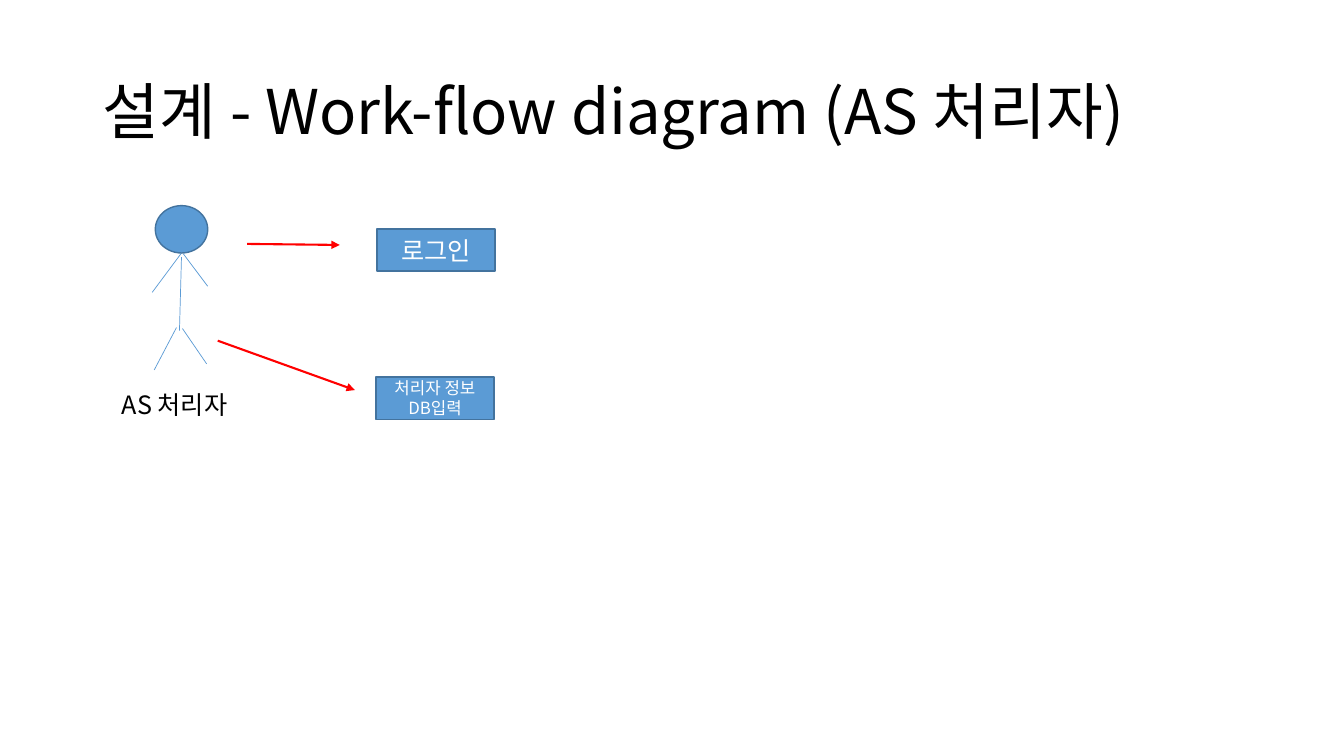
from lxml.etree import SubElement as Sub
from pptx import Presentation
from pptx.dml.color import RGBColor as Rgb
from pptx.enum.shapes import MSO_CONNECTOR as Conn, MSO_SHAPE as Form
from pptx.enum.text import MSO_ANCHOR as Anchor, MSO_AUTO_SIZE as Fit, PP_ALIGN as Align
from pptx.oxml.ns import qn
from pptx.util import Inches, Pt

FONT = "Noto Sans CJK KR"
HUES = {"ink": "000000", "white": "FFFFFF", "blue": "5B9BD5", "edge": "43739E", "red": "FF0000"}


def hue(name):
    return Rgb.from_string(HUES[name])


def write(frame, rows, size, color, align, anchor):
    frame.word_wrap = True
    frame.auto_size = Fit.NONE
    frame.vertical_anchor = anchor
    for i, row in enumerate(rows):
        para = frame.add_paragraph() if i else frame.paragraphs[0]
        para.alignment = align
        run = para.add_run()
        run.text = row
        font = run.font
        font.name, font.size = FONT, Pt(size)
        font.color.rgb = hue(color)
        Sub(font._element, qn("a:ea")).set("typeface", FONT)


def place(item, box):
    item.left, item.top, item.width, item.height = map(Inches, box)


def form(shapes, kind, box):
    item = shapes.add_shape(kind, *map(Inches, box))
    item.shadow.inherit = False
    item.fill.solid()
    item.fill.fore_color.rgb = hue("blue")
    item.line.color.rgb = hue("edge")
    item.line.width = Pt(1)
    return item


def link(shapes, start, end, color, width, arrow=False):
    line = shapes.add_connector(Conn.STRAIGHT, *map(Inches, start + end))
    line.line.color.rgb = hue(color)
    line.line.width = Pt(width)
    if arrow:
        Sub(line.line._get_or_add_ln(), qn("a:tailEnd")).set("type", "triangle")
    Sub(line._element.spPr, qn("a:effectLst"))


def title(slide, box, text):
    head = slide.shapes.title
    place(head, box)
    write(head.text_frame, [text], 44, "ink", Align.LEFT, Anchor.MIDDLE)
    head.text_frame.paragraphs[0].line_spacing = 0.9


def actor(slide, box, name):
    x, y, wide, high = box
    group = slide.shapes.add_group_shape().shapes
    limbs = [
        (0.69, 0.51, 0.67, 1.24),
        (0.69, 0.47, 0.4, 0.86),
        (0.71, 0.48, 0.95, 0.8),
        (0.64, 1.21, 0.42, 1.63),
        (0.94, 1.57, 0.7, 1.22),
    ]
    for x1, y1, x2, y2 in limbs:
        link(group, (x + x1, y + y1), (x + x2, y + y2), "blue", 0.5)
    form(group, Form.OVAL, (x + 0.43, y, 0.52, 0.47))
    label = group.add_textbox(*map(Inches, (x, y + high - 0.4, wide, 0.4)))
    write(label.text_frame, [name], 18, "ink", Align.LEFT, Anchor.TOP)


def step(slide, box, rows, size, start, end):
    card = form(slide.shapes, Form.RECTANGLE, box)
    write(card.text_frame, rows, size, "white", Align.CENTER, Anchor.MIDDLE)
    x, y = box[:2]
    ends = [(x + dx, y + dy) for dx, dy in (start, end)]
    link(slide.shapes, *ends, "red", 1.5, True)


deck = Presentation()
deck.slide_width, deck.slide_height = Inches(13.33), Inches(7.5)
page = deck.slides.add_slide(deck.slide_layouts[5])
title(page, (0.92, 0.41, 11.5, 1.45), "설계 - Work-flow diagram (AS 처리자)")
step(page, (3.74, 2.27, 1.17, 0.42), ["로그인"], 18, (-1.29, 0.15), (-0.37, 0.16))
step(page, (3.73, 3.74, 1.17, 0.42), ["처리자 정보", "DB입력"], 12, (-1.57, -0.36), (-0.21, 0.13))
actor(page, (1.11, 2.04, 1.37, 2.17), "AS 처리자")
deck.save("out.pptx")
